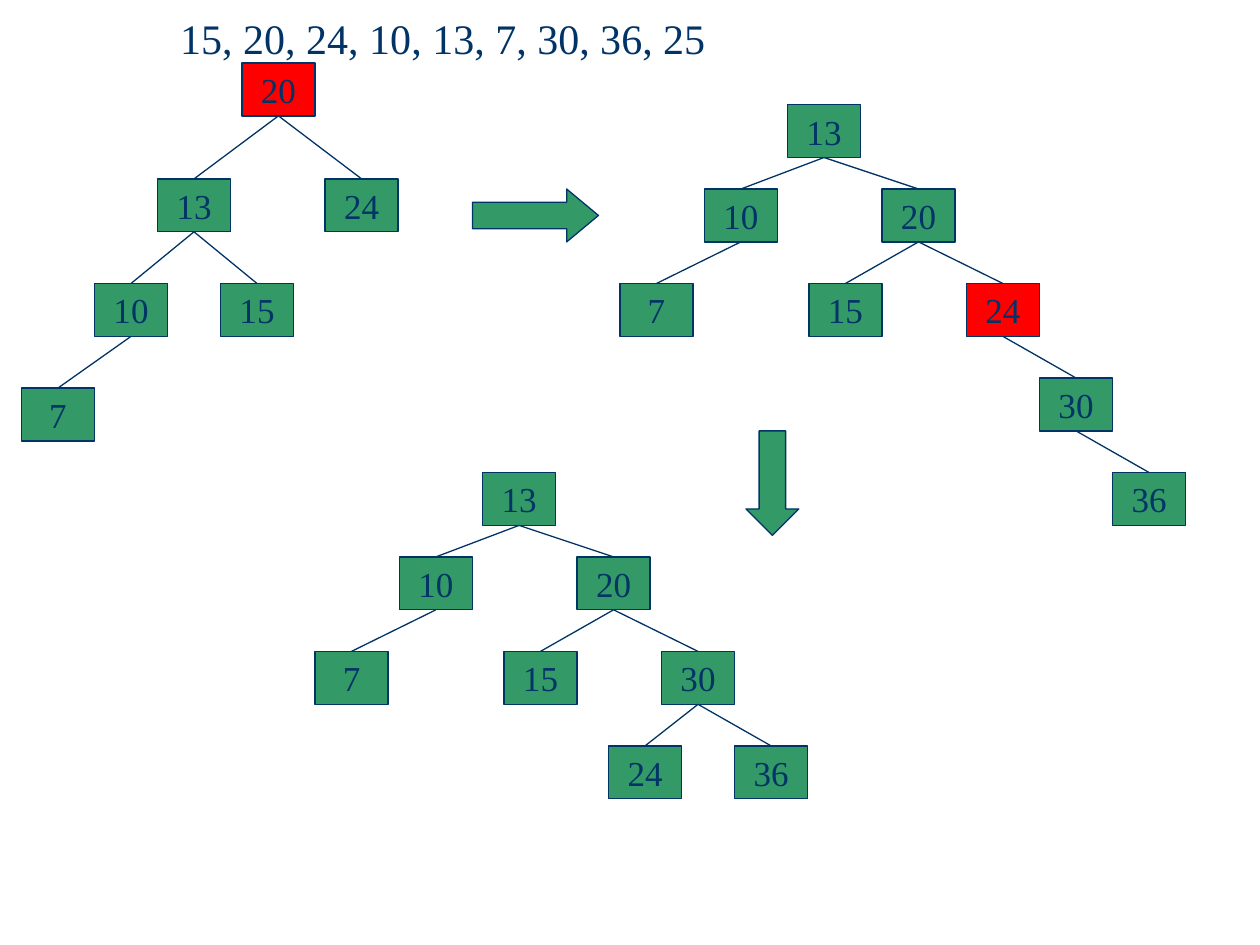
from lxml import etree
from pptx import Presentation
from pptx.dml.color import RGBColor
from pptx.enum import shapes, text
from pptx.oxml.ns import qn
from pptx.util import Inches, Pt

NAVY = RGBColor(0x00, 0x33, 0x66)
GREEN = RGBColor(0x33, 0x99, 0x66)
RED = RGBColor(0xFF, 0x00, 0x00)
FONT = "Times New Roman"
NODE_WIDTH, NODE_HEIGHT = 0.58, 0.42
BOTTOM_SITE, TOP_SITE = 2, 0

# Each node: value, parent value, x and y offset inside the tree's box
UNBALANCED_LEFT = [
    (20, None, 1.75, 0), (13, 20, 1.08, 0.92), (24, 20, 2.41, 0.92),
    (10, 13, 0.58, 1.75), (15, 13, 1.58, 1.75), (7, 10, 0, 2.58),
]
SHARED_TOP = [
    (13, None, 1.33, 0), (10, 13, 0.67, 0.67), (20, 13, 2.08, 0.67),
    (7, 10, 0, 1.42), (15, 20, 1.5, 1.42),
]
UNBALANCED_RIGHT = SHARED_TOP + [
    (24, 20, 2.75, 1.42), (30, 24, 3.33, 2.17), (36, 30, 3.91, 2.92),
]
BALANCED = SHARED_TOP + [
    (30, 20, 2.75, 1.42), (24, 30, 2.33, 2.17), (36, 30, 3.33, 2.17),
]


def style_font(paragraph, size):
    for run in paragraph.runs:
        run.font.name = FONT
        run.font.size = Pt(size)
        run.font.color.rgb = NAVY


def add_block(slide, kind, left, top, width, height, fill=GREEN):
    shape = slide.shapes.add_shape(
        kind, Inches(left), Inches(top), Inches(width), Inches(height))
    shape.shadow.inherit = False
    shape.fill.solid()
    shape.fill.fore_color.rgb = fill
    shape.line.color.rgb = NAVY
    shape.line.width = Pt(0.75)
    return shape


def add_node(slide, value, left, top, fill):
    node = add_block(slide, shapes.MSO_SHAPE.RECTANGLE,
                     left, top, NODE_WIDTH, NODE_HEIGHT, fill)
    frame = node.text_frame
    frame.word_wrap = False
    frame.vertical_anchor = text.MSO_ANCHOR.MIDDLE
    frame.text = str(value)
    paragraph = frame.paragraphs[0]
    paragraph.alignment = text.PP_ALIGN.CENTER
    style_font(paragraph, 20)
    return node


def add_edge(slide, parent, child):
    edge = slide.shapes.add_connector(shapes.MSO_CONNECTOR.STRAIGHT, 0, 0, 0, 0)
    edge.begin_connect(parent, BOTTOM_SITE)
    edge.end_connect(child, TOP_SITE)
    edge.line.color.rgb = NAVY
    edge.line.width = Pt(0.75)
    etree.SubElement(edge._element.spPr, qn("a:effectLst"))


def add_tree(slide, left, top, tree, highlighted=None):
    nodes = {}
    for value, parent, x, y in tree:
        fill = RED if value == highlighted else GREEN
        nodes[value] = add_node(slide, value, left + x, top + y, fill)
        if parent is not None:
            add_edge(slide, nodes[parent], nodes[value])


def add_sequence(slide, left, top, width, height):
    title = slide.shapes.title
    title.left, title.top = Inches(left), Inches(top)
    title.width, title.height = Inches(width), Inches(height)
    frame = title.text_frame
    frame.word_wrap = True
    frame.auto_size = text.MSO_AUTO_SIZE.NONE
    frame.vertical_anchor = text.MSO_ANCHOR.TOP
    frame.margin_left, frame.margin_top = Inches(0.6), Inches(0.1)
    frame.margin_bottom = 0
    frame.text = "15, 20, 24, 10, 13, 7, 30, 36, 25"
    paragraph = frame.paragraphs[0]
    paragraph.alignment = text.PP_ALIGN.LEFT
    style_font(paragraph, 24)


def main():
    presentation = Presentation()
    presentation.slide_width = Inches(10)
    presentation.slide_height = Inches(7.5)
    slide = presentation.slides.add_slide(
        presentation.slide_layouts.get_by_name("Title Only"))

    # Inserted keys
    add_sequence(slide, 0.83, 0, 8.17, 0.5)

    # Tree states
    add_tree(slide, 0.17, 0.5, UNBALANCED_LEFT, highlighted=20)
    add_tree(slide, 4.92, 0.83, UNBALANCED_RIGHT, highlighted=24)
    add_tree(slide, 2.5, 3.75, BALANCED)

    # Arrows between the states
    right_arrow = add_block(
        slide, shapes.MSO_SHAPE.RIGHT_ARROW, 3.75, 1.5, 1, 0.42)
    right_arrow.adjustments[1] = 0.6
    add_block(slide, shapes.MSO_SHAPE.DOWN_ARROW, 5.92, 3.42, 0.42, 0.83)

    presentation.save("out.pptx")


if __name__ == "__main__":
    main()
